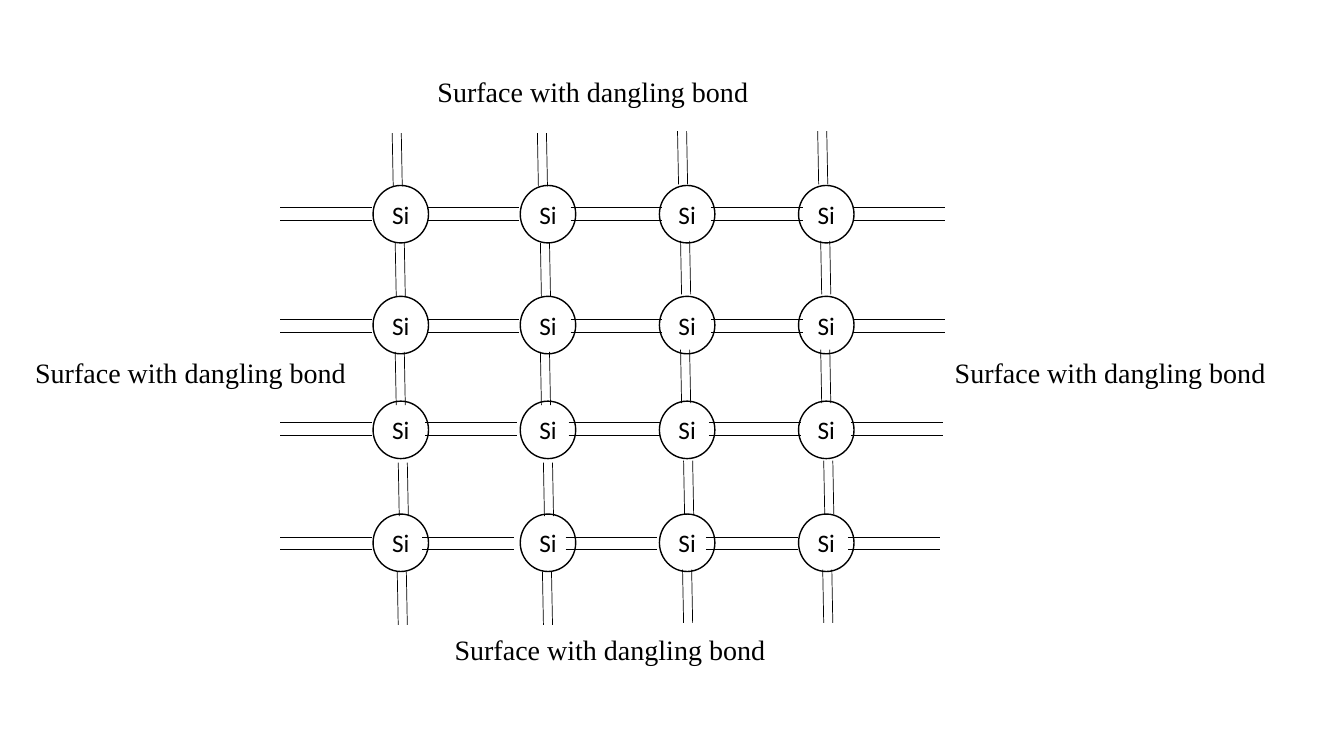
import pptx
import pptx.util
import pptx.dml.color
import pptx.enum.shapes
import pptx.enum.text
from lxml import etree
from pptx.util import Inches

BLACK, WHITE = "000000", "FFFFFF"
ATOM_W, ATOM_H = 0.55, 0.57
ATOM_X = (3.7, 5.16, 6.54, 7.92)
ATOM_Y = (1.84, 2.94, 3.98, 5.1)

# Bonds beside the atoms: five per row, each a pair of level lines
SIDE_X = (2.78, 4.24, 5.66, 7.05, 8.46)
SIDE_Y = (2.06, 3.17, 4.19, 5.33)
SIDE_SHIFT = (0, 0, -0.02, -0.05)
SIDE_LENGTH, SIDE_GAP = 0.91, 0.125

# Bonds above and below the atoms: five per column, leaning slightly
UPRIGHT_X = (3.89, 5.33, 6.72, 8.11)
UPRIGHT_Y = (1.32, 2.41, 3.49, 4.59, 5.67)
UPRIGHT_SHIFT = (0, 0.03, 0.03, 0.06, 0.05)
UPRIGHT_RISE = (0, 0, 0.02, 0.02)
UPRIGHT_LENGTH, UPRIGHT_GAP, LEAN = 0.53, 0.09, 0.01

LABEL = "Surface with dangling bond"
LABEL_SPOTS = ((9.37, 3.48), (4.24, 0.69), (4.41, 6.23), (0.25, 3.48))


def rgb(color):
    return pptx.dml.color.RGBColor.from_string(color)


def set_text(s, text, font, size):
    tf = s.text_frame
    tf.text = text
    tf.word_wrap = False
    r = tf.paragraphs[0].runs[0]
    r.font.name = font
    r.font.size = pptx.util.Pt(size)
    r.font.color.rgb = rgb(BLACK)
    return tf


def add_atom(slide, x, y):
    s = slide.shapes.add_shape(
        pptx.enum.shapes.MSO_SHAPE.OVAL,
        Inches(x), Inches(y), Inches(ATOM_W), Inches(ATOM_H))
    s.shadow.inherit = False
    s.fill.solid()
    s.fill.fore_color.rgb = rgb(WHITE)
    s.line.color.rgb = rgb(BLACK)
    s.line.width = pptx.util.Pt(1)
    tf = set_text(s, "Si", "Calibri", 18)
    tf.margin_left = tf.margin_right = tf.margin_top = tf.margin_bottom = 0
    tf.vertical_anchor = pptx.enum.text.MSO_ANCHOR.MIDDLE
    tf.paragraphs[0].alignment = pptx.enum.text.PP_ALIGN.CENTER


def add_bond(slide, x, y, run, gap):
    """Draw two parallel lines; run and gap are (dx, dy) offsets."""
    for k in range(2):
        left, top = x + k * gap[0], y + k * gap[1]
        s = slide.shapes.add_connector(
            pptx.enum.shapes.MSO_CONNECTOR.STRAIGHT,
            Inches(left), Inches(top), Inches(left + run[0]), Inches(top + run[1]))
        s.line.color.rgb = rgb(BLACK)
        s.line.width = pptx.util.Pt(0.5)
        etree.SubElement(s._element.spPr, pptx.oxml.ns.qn("a:effectLst"))


def add_label(slide, x, y):
    s = slide.shapes.add_textbox(Inches(x), Inches(y), Inches(3.31), Inches(0.44))
    tf = set_text(s, LABEL, "Times New Roman", 20)
    tf.auto_size = pptx.enum.text.MSO_AUTO_SIZE.SHAPE_TO_FIT_TEXT


def main():
    prs = pptx.Presentation()
    prs.slide_width, prs.slide_height = Inches(13.33), Inches(7.5)
    slide = prs.slides.add_slide(prs.slide_layouts[6])

    for y in ATOM_Y:
        for x in ATOM_X:
            add_atom(slide, x, y)
    for y, shift in zip(SIDE_Y, SIDE_SHIFT):
        for col, x in enumerate(SIDE_X):
            left = x + shift if col else x
            add_bond(slide, left, y, (SIDE_LENGTH, 0), (0, SIDE_GAP))
    for y, shift in zip(UPRIGHT_Y, UPRIGHT_SHIFT):
        for x, rise in zip(UPRIGHT_X, UPRIGHT_RISE):
            add_bond(slide, x + shift, y - rise, (LEAN, UPRIGHT_LENGTH), (UPRIGHT_GAP, 0))
    for x, y in LABEL_SPOTS:
        add_label(slide, x, y)

    prs.save("out.pptx")


if __name__ == "__main__":
    main()
